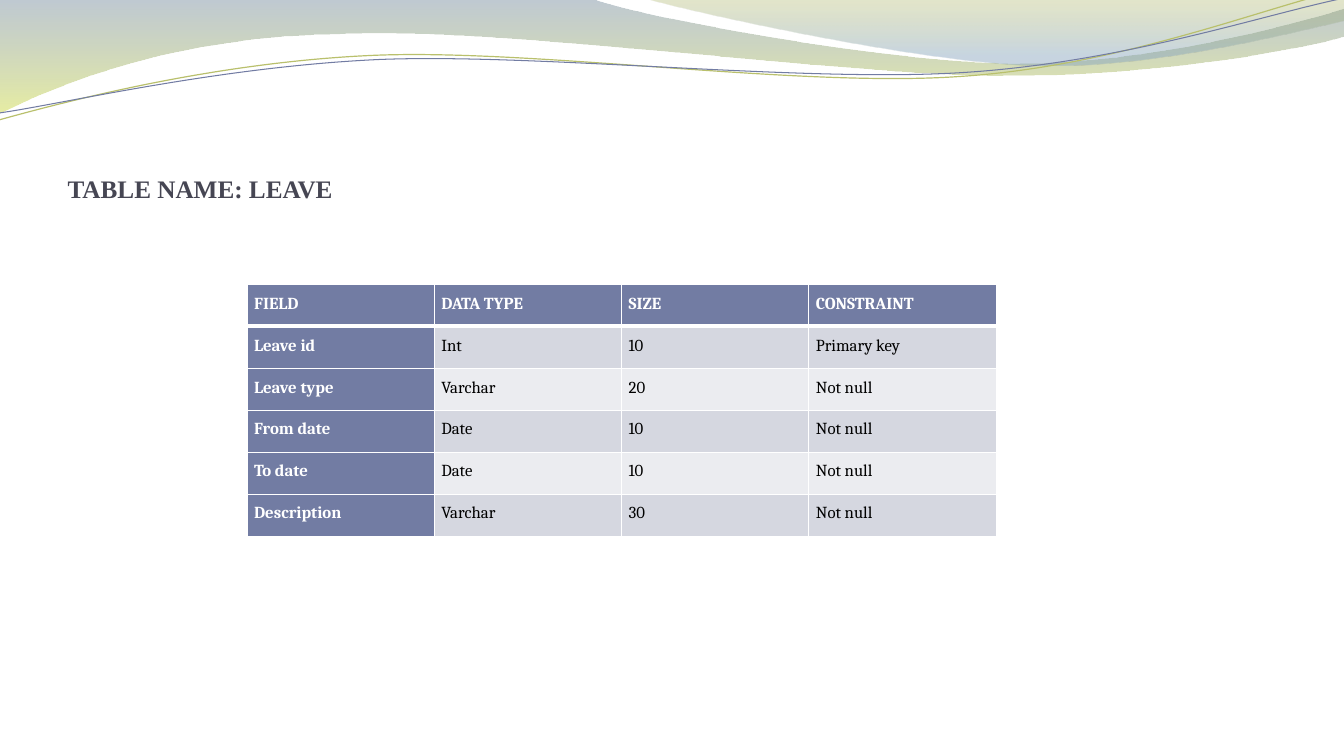
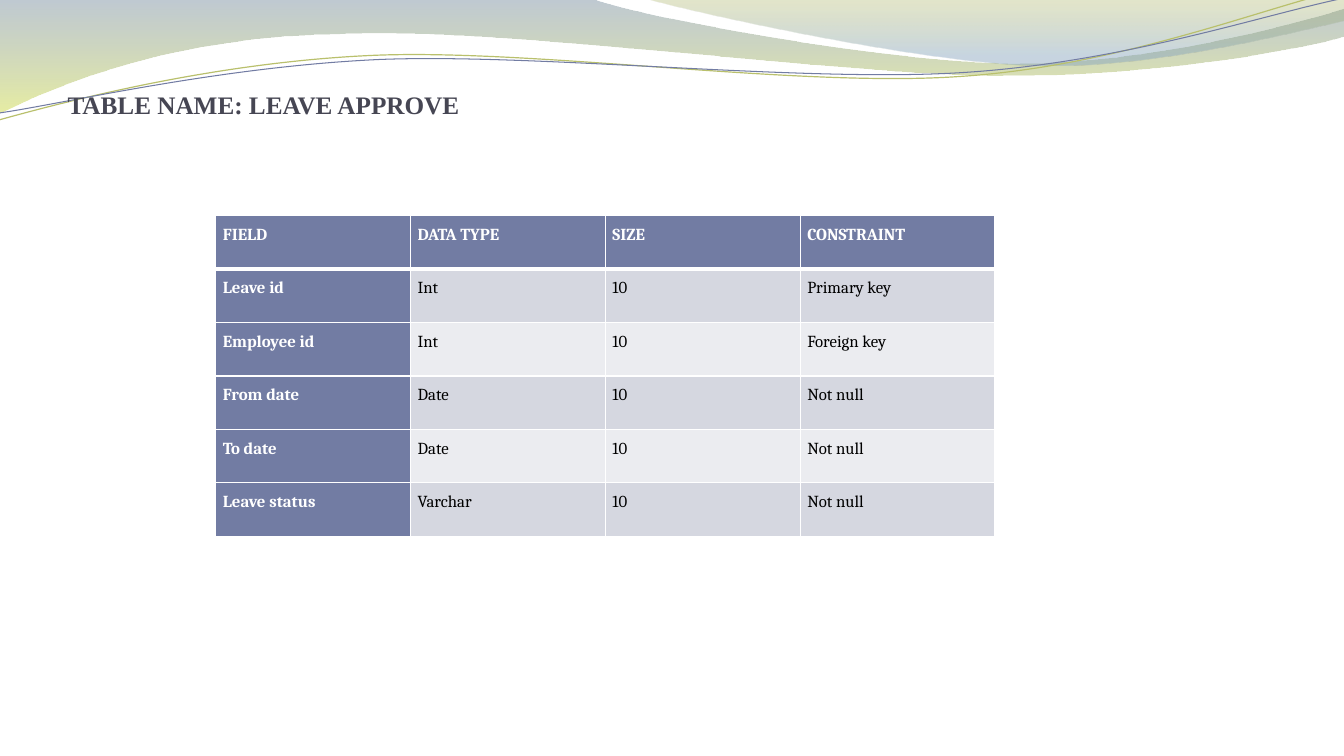
from math import cos, radians, sin

from lxml import etree
from pptx import Presentation
from pptx.dml.color import RGBColor
from pptx.enum.text import MSO_ANCHOR, MSO_AUTO_SIZE, PP_ALIGN
from pptx.oxml.ns import qn
from pptx.util import Inches, Pt

BOTTOM, NO_FIT, LEFT = MSO_ANCHOR.BOTTOM, MSO_AUTO_SIZE.NONE, PP_ALIGN.LEFT
TITLE_FONT, TABLE_FONT = "Times New Roman", "Cambria"
INK, BLACK, WHITE = "464653", "000000", "FFFFFF"
SLATE, OLIVE = "727CA3", "B9C06C"
BANDS = ["D5D7E0", "EBECF0"]
TITLE_BOX = (0.67, 0.77, 12, 1.25)
TITLE_ONLY = 5
LINE_TILT = -2.7

WAVE_FILLS = [
    {
        "outline": [
            (0, 0), (5.87, -0.01),
            (6.34, 0.17, 8.85, 0.63, 10.11, 0.63),
            (11.38, 0.63, 12.78, 0.26, 13.33, 0.09),
            (13.35, 0.36),
            (13.11, 0.44, 11.6, 0.76, 9.94, 0.75),
            (8.29, 0.75, 5.09, 0.28, 3.43, 0.34),
            (1.72, 0.36, 0.61, 0.83, -0.01, 1.13),
            (0, 0),
        ],
        "stops": [(0, "72889B", 45), (1, "D3DE57", 55)],
    },
    {
        "outline": [
            (6.39, -0.01),
            (6.79, 0.11, 9.09, 0.62, 10.25, 0.65),
            (11.41, 0.69, 12.82, 0.32, 13.33, 0.21),
            (13.33, 0), (6.39, -0.01),
        ],
        "stops": [(0, "A4AC50", 30), (0.8, "84A3BD", 45)],
    },
]
WAVE_LINES = [
    {
        "outline": [
            (-0.01, 1.19),
            (0.64, 1.01, 2.11, 0.62, 3.69, 0.55),
            (5.27, 0.48, 7.9, 0.87, 9.5, 0.76),
            (11.1, 0.66, 12.52, 0.08, 13.31, -0.1),
        ],
        "center": (6.65, 0.58),
        "color": OLIVE,
        "width": 0.85,
    },
    {
        "outline": [
            (0, 1.12),
            (0.63, 1.03, 2.18, 0.66, 3.78, 0.59),
            (5.37, 0.53, 7.96, 0.82, 9.55, 0.72),
            (11.15, 0.62, 12.55, 0.14, 13.34, -0.02),
        ],
        "center": (6.67, 0.59),
        "color": SLATE,
        "width": 0.75,
    },
]

HEADINGS = ["FIELD", "DATA TYPE", "SIZE", "CONSTRAINT"]
LEAVE_FIELDS = [
    ["Leave id", "Int", "10", "Primary key"],
    ["Leave type", "Varchar", "20", "Not null"],
    ["From date", "Date", "10", "Not null"],
    ["To date", "Date", "10", "Not null"],
    ["Description", "Varchar", "30", "Not null"],
]
APPROVE_FIELDS = [
    ["Leave id", "Int", "10", "Primary key"],
    ["Employee id", "Int", "10", "Foreign key"],
    ["From date", "Date", "10", "Not null"],
    ["To date", "Date", "10", "Not null"],
    ["Leave status", "Varchar", "10", "Not null"],
]


def rgb(code):
    """Turn a hex string into a colour."""
    return RGBColor.from_string(code)


def inches(values):
    """Turn a sequence of inch values into lengths."""
    return [Inches(value) for value in values]


def style_run(run, font, size, color, bold):
    """Format one run of text."""
    run.font.name = font
    run.font.size = Pt(size)
    run.font.color.rgb = rgb(color)
    run.font.bold = bold


def split_pairs(segment):
    """Split a flat segment into its points."""
    return list(zip(segment[::2], segment[1::2]))


def level_segment(segment, center):
    """Turn a segment about the centre to undo the tilt of the lines."""
    angle = radians(-LINE_TILT)
    level = []
    for x, y in split_pairs(segment):
        across, down = x - center[0], y - center[1]
        level.append(center[0] + across * cos(angle) - down * sin(angle))
        level.append(center[1] + across * sin(angle) + down * cos(angle))
    return level


def add_outline(slide, outline, closed):
    """Draw straight and cubic segments as a freeform without shadow."""
    start, *others = [inches(point) for segment in outline for point in split_pairs(segment)]
    builder = slide.shapes.build_freeform(*start)
    builder.add_line_segments(others, close=closed)
    wave = builder.convert_to_shape()
    wave.shadow.inherit = False
    steps = iter(wave.element.xpath(".//a:lnTo"))
    for segment in outline[1:]:
        first, *rest = [next(steps) for _ in split_pairs(segment)]
        if rest:
            first.tag = qn("a:cubicBezTo")
            for step in rest:
                first.append(step[0])
                step.getparent().remove(step)
    return wave


def add_wave_fill(slide, outline, stops):
    """Draw a wave filled with a translucent downward gradient."""
    wave = add_outline(slide, outline, True)
    wave.line.fill.background()
    wave.fill.gradient()
    wave.fill.gradient_angle = 270
    for stop, (position, color, opacity) in zip(wave.fill.gradient_stops, stops):
        stop.position = position
        stop.color.rgb = rgb(color)
    tints = wave.element.xpath(".//a:gs/a:srgbClr")
    for tint, (position, color, opacity) in zip(tints, stops):
        etree.SubElement(tint, qn("a:alpha")).set("val", str(opacity * 1000))
    return wave


def add_wave_line(slide, outline, center, color, width):
    """Draw a thin wavy line, tilted about its centre."""
    level = [level_segment(segment, center) for segment in outline]
    wave = add_outline(slide, level, False)
    wave.rotation = LINE_TILT
    wave.fill.background()
    wave.line.color.rgb = rgb(color)
    wave.line.width = Pt(width)
    return wave


def set_up_layout(layout, slide):
    """Give the layout its title box and the waves drawn on the slide."""
    title = layout.placeholders[0]
    title.left, title.top, title.width, title.height = inches(TITLE_BOX)
    frame = title.text_frame
    frame.margin_left = frame.margin_right = frame.margin_bottom = 0
    frame.margin_top = Inches(0.05)
    frame.vertical_anchor = BOTTOM
    frame.auto_size = NO_FIT
    frame.word_wrap = True
    waves = [add_wave_fill(slide, **wave) for wave in WAVE_FILLS]
    waves += [add_wave_line(slide, **wave) for wave in WAVE_LINES]
    for depth, wave in enumerate(waves, start=2):
        layout.shapes.element.insert(depth, wave.element)


def set_title(slide, text, lift):
    """Fill the title and raise it from the bottom of its box."""
    frame = slide.shapes.title.text_frame
    frame.text = text
    frame.margin_bottom = Inches(lift)
    heading = frame.paragraphs[0]
    heading.alignment = LEFT
    style_run(heading.runs[0], TITLE_FONT, 18, INK, True)


def set_borders(cell, top, bottom):
    """Draw white borders around a cell."""
    properties = cell._tc.get_or_add_tcPr()
    for side, width in (("lnL", 1), ("lnR", 1), ("lnT", top), ("lnB", bottom)):
        border = etree.SubElement(properties, qn(f"a:{side}"), w=str(Pt(width)))
        paint = etree.SubElement(border, qn("a:solidFill"))
        etree.SubElement(paint, qn("a:srgbClr"), val=WHITE)


def set_cell(cell, text, row, column):
    """Fill and format one cell according to its place in the table."""
    is_heading = row == 0 or column == 0
    set_borders(cell, 3 if row == 1 else 1, 3 if row == 0 else 1)
    cell.fill.solid()
    cell.fill.fore_color.rgb = rgb(SLATE if is_heading else BANDS[(row - 1) % 2])
    cell.margin_left = cell.margin_right = Inches(0.07)
    cell.margin_top = cell.margin_bottom = 0
    cell.text_frame.text = text
    entry = cell.text_frame.paragraphs[0]
    entry.line_spacing = 1.5
    style_run(entry.runs[0], TABLE_FONT, 12, WHITE if is_heading else BLACK, is_heading)


def add_field_table(slide, fields, box):
    """Place the field table with equal rows and columns in its box."""
    rows = [HEADINGS] + fields
    table = slide.shapes.add_table(len(rows), len(HEADINGS), *inches(box)).table
    table.first_col = True
    table.horz_banding = False
    for row, texts in enumerate(rows):
        for column, text in enumerate(texts):
            set_cell(table.cell(row, column), text, row, column)


def fill_table_slide(slide, title, lift, fields, box):
    """Fill a slide that describes one database table."""
    set_title(slide, title, lift)
    add_field_table(slide, fields, box)


def main():
    """Build and save the presentation."""
    deck = Presentation()
    deck.slide_width, deck.slide_height = inches((13.33, 7.5))
    layout = deck.slide_layouts[TITLE_ONLY]
    leave, approve = [deck.slides.add_slide(layout) for _ in range(2)]
    set_up_layout(layout, leave)
    fill_table_slide(leave, "TABLE NAME: LEAVE", 0, LEAVE_FIELDS, (2.45, 2.82, 7.43, 2.5))
    fill_table_slide(
        approve, "TABLE NAME: LEAVE APPROVE", 0.83, APPROVE_FIELDS, (2.14, 2.14, 7.73, 3.18)
    )
    deck.save("out.pptx")


main()
